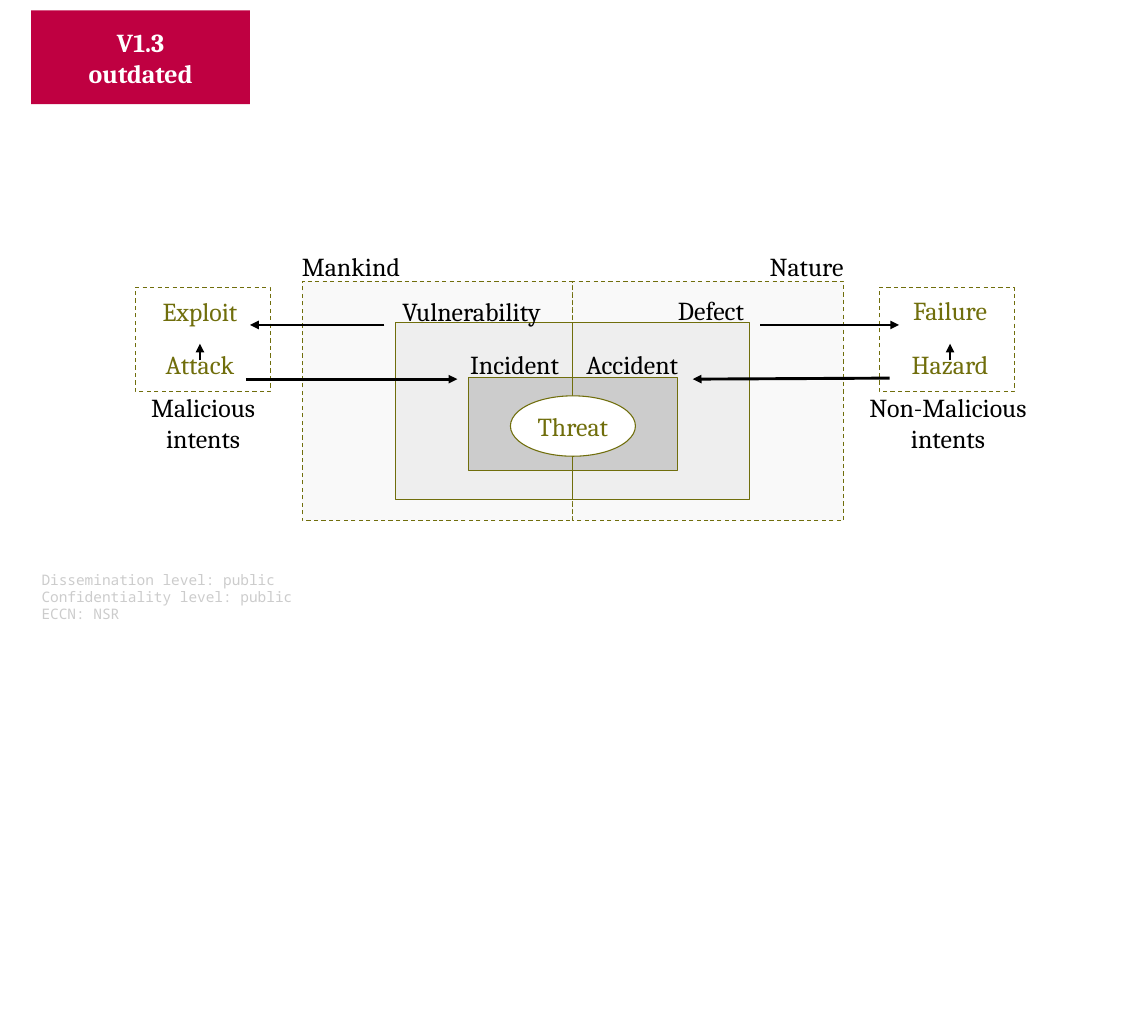
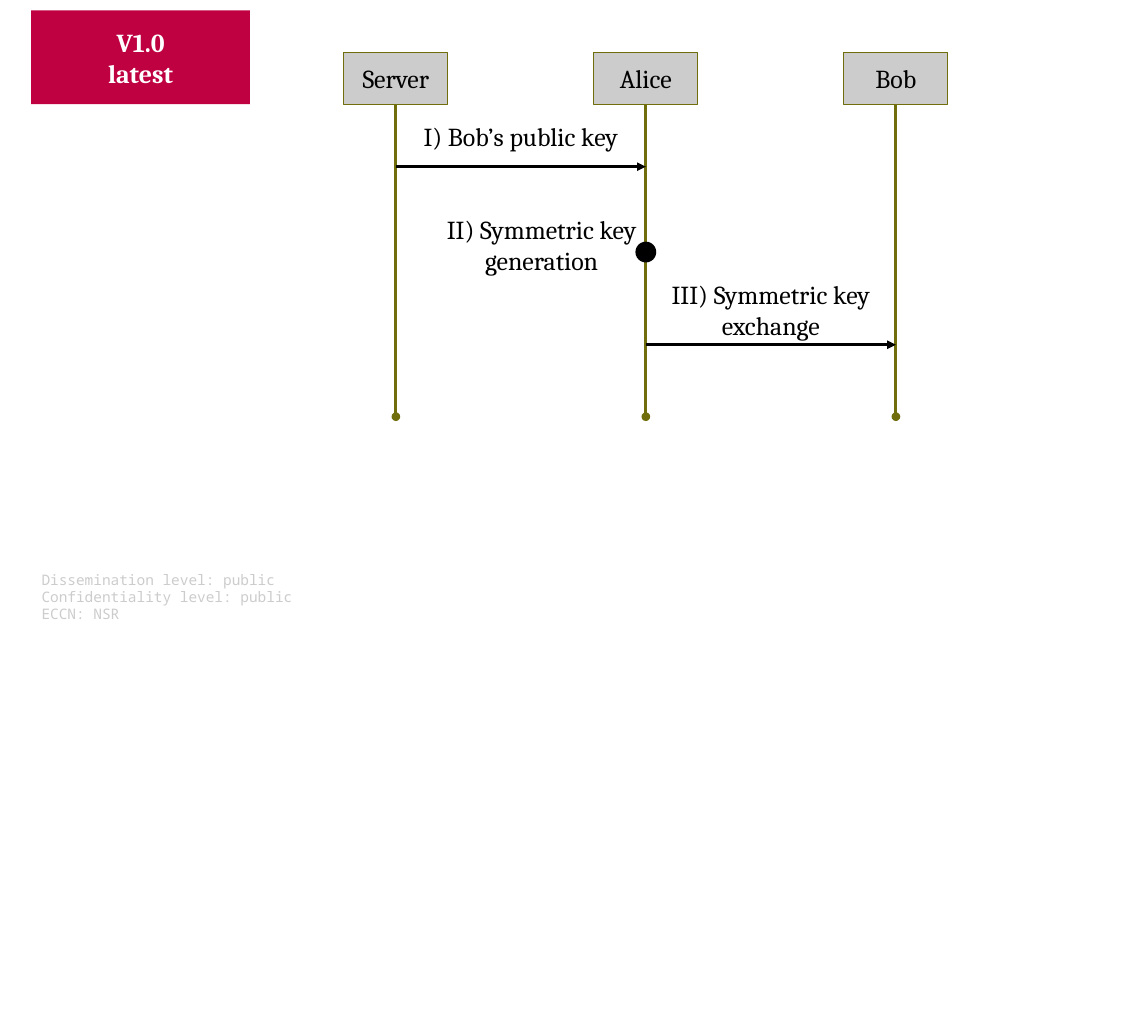
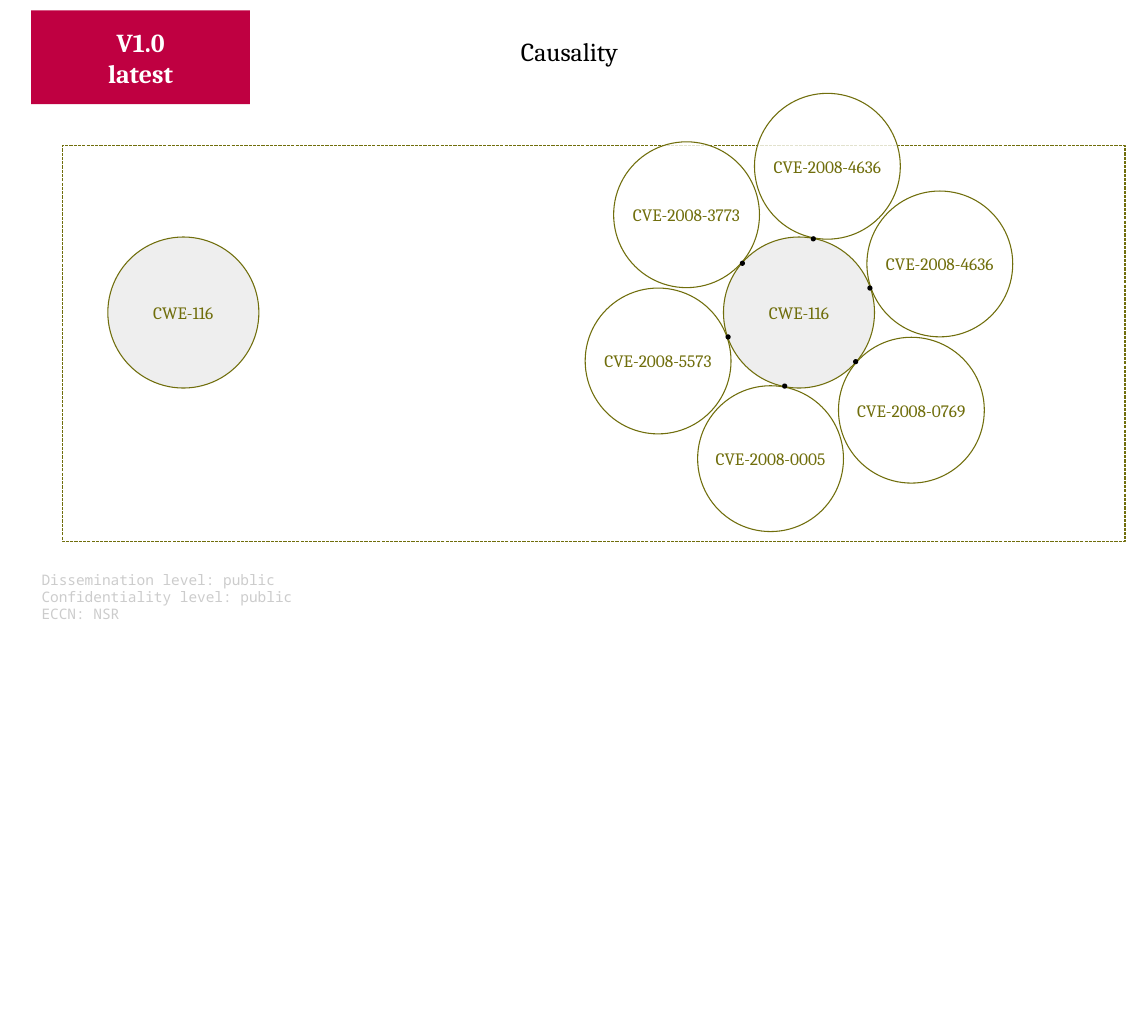
from math import cos, radians, sin

from lxml import etree
from pptx import Presentation
from pptx.dml.color import RGBColor
from pptx.enum.dml import MSO_LINE
from pptx.enum.shapes import MSO_CONNECTOR, MSO_SHAPE
from pptx.enum.text import MSO_ANCHOR, MSO_AUTO_SIZE, PP_ALIGN
from pptx.oxml.ns import qn
from pptx.util import Inches, Pt

# Shared style
RECT, OVAL = MSO_SHAPE.RECTANGLE, MSO_SHAPE.OVAL
STRAIGHT = MSO_CONNECTOR.STRAIGHT
DASH, FINE = MSO_LINE.DASH, MSO_LINE.SQUARE_DOT
LEFT, MID, RIGHT = PP_ALIGN.LEFT, PP_ALIGN.CENTER, PP_ALIGN.RIGHT
TOP, MIDDLE = MSO_ANCHOR.TOP, MSO_ANCHOR.MIDDLE
SERIF, MONO = "Cambria", "Noto Sans Mono"
OLIVE, RED, BLACK, WHITE = "706E0C", "BF0041", "000000", "FFFFFF"
PALE, LIGHT, GREY = "F9F9F9", "EEEEEE", "CCCCCC"
SIZE = 17.9
TITLE_ONLY, BLANK = 5, 6
FOOTER = "Dissemination level: public\nConfidentiality level: public\nECCN: NSR"


def rgb(code):
    return RGBColor.from_string(code)


def write(shape, text, color=BLACK, size=SIZE, align=MID, anchor=TOP,
          font=SERIF, bold=False, wrap=True):
    frame = shape.text_frame
    frame.text = text
    frame.word_wrap = wrap
    frame.auto_size = MSO_AUTO_SIZE.NONE
    frame.vertical_anchor = anchor
    for para in frame.paragraphs:
        para.alignment = align
        for run in para.runs:
            run.font.name = font
            run.font.size = Pt(size)
            run.font.bold = bold
            run.font.color.rgb = rgb(color)


def label(slide, at, text, **style):
    write(slide.shapes.add_textbox(*map(Inches, at)), text, **style)


def box(slide, at, fill=None, line=OLIVE, kind=RECT, dash=None, alpha=None):
    shape = slide.shapes.add_shape(kind, *map(Inches, at))
    shape.shadow.inherit = False
    if fill:
        shape.fill.solid()
        shape.fill.fore_color.rgb = rgb(fill)
    else:
        shape.fill.background()
    if alpha:
        tone = shape.fill._xPr.find(".//" + qn("a:srgbClr"))
        etree.SubElement(tone, qn("a:alpha"), val=str(alpha * 1000))
    if line:
        shape.line.color.rgb = rgb(line)
        shape.line.width = 0
        if dash:
            shape.line.dash_style = dash
    else:
        shape.line.fill.background()
    return shape


def disc(slide, x, y, width, fill, **style):
    """Circle centred on x, y."""
    at = (x - width / 2, y - width / 2, width, width)
    return box(slide, at, fill, kind=OVAL, **style)


def arrow(slide, start, end, color=BLACK, tip="triangle"):
    wire = slide.shapes.add_connector(STRAIGHT, *map(Inches, start + end))
    wire.line.color.rgb = rgb(color)
    wire.line.width = 0
    etree.SubElement(wire.line._get_or_add_ln(), qn("a:tailEnd"), type=tip)
    etree.SubElement(wire._element.spPr, qn("a:effectLst"))


def page(deck, status, layout=BLANK):
    """New slide with the version banner and the footer."""
    slide = deck.slides.add_slide(deck.slide_layouts[layout])
    return slide, status


def stamp(slide, status):
    banner = box(slide, (0.3, 0.1, 2.1, 0.9), RED, line=None)
    write(banner, status, WHITE, anchor=MIDDLE, bold=True, wrap=False)
    label(slide, (0.3, 5.43, 5.81, 0.58), FOOTER, color=GREY, size=10,
          align=LEFT, font=MONO)


def add_page(deck, status, layout=BLANK):
    slide = deck.slides.add_slide(deck.slide_layouts[layout])
    stamp(slide, status)
    return slide


def threats(deck):
    slide = add_page(deck, "V1.3\noutdated")

    # Nested panels, mirrored about the middle
    axis = 5.5
    for top, width, height, fill, dash in (
            (2.7, 2.6, 2.3, PALE, DASH),
            (3.1, 1.7, 1.7, LIGHT, None),
            (3.62, 1, 0.9, GREY, None)):
        for left in (axis - width, axis):
            box(slide, (left, top, width, height), fill, dash=dash)
    threat = box(slide, (4.9, 3.8, 1.2, 0.58), WHITE, kind=OVAL)
    write(threat, "Threat", OLIVE, anchor=MIDDLE, wrap=False)

    # Intent frames
    for left in (1.3, 8.44):
        box(slide, (left, 2.76, 1.3, 1), dash=DASH)

    # Labels
    for left, top, width, text, color, align in (
            (2.8, 2.36, 1.2, "Mankind", BLACK, LEFT),
            (7.29, 2.36, 1, "Nature", BLACK, LEFT),
            (3.69, 2.79, 1.6, "Vulnerability", BLACK, RIGHT),
            (6.41, 2.78, 0.89, "Defect", BLACK, LEFT),
            (4.39, 3.3, 1.1, "Incident", BLACK, MID),
            (5.49, 3.3, 1.16, "Accident", BLACK, MID),
            (1.44, 2.79, 0.96, "Exploit", OLIVE, MID),
            (1.48, 3.3, 0.88, "Attack", OLIVE, MID),
            (8.63, 2.78, 0.98, "Failure", OLIVE, MID),
            (8.54, 3.3, 1.16, "Hazard", OLIVE, MID),
            (1.2, 3.71, 1.5, "Malicious intents", BLACK, MID),
            (8.2, 3.71, 1.8, "Non-Malicious intents", BLACK, MID)):
        label(slide, (left, top, width, 0.68), text, color=color, align=align)

    # Causes and effects
    for start, end in (
            ((3.69, 3.12), (2.4, 3.12)),
            ((2.36, 3.64), (4.39, 3.64)),
            ((1.92, 3.46), (1.92, 3.3)),
            ((7.3, 3.12), (8.63, 3.12)),
            ((8.54, 3.63), (6.65, 3.64)),
            ((9.12, 3.46), (9.12, 3.3))):
        arrow(slide, start, end)


def keys(deck):
    slide = add_page(deck, "V1.0\nlatest")

    # Actors and their lifelines
    first, step = 3.8, 2.4
    lanes = [first + step * i for i in range(3)]
    for x, name in zip(lanes, ("Server", "Alice", "Bob")):
        actor = box(slide, (x - 0.5, 0.5, 1, 0.5), GREY)
        write(actor, name, anchor=MIDDLE, wrap=False)
        arrow(slide, (x, 1), (x, 4), OLIVE, "oval")

    # Messages
    server, alice, bob = lanes
    arrow(slide, (server, 1.6), (alice, 1.6))
    arrow(slide, (alice, 3.31), (bob, 3.31))
    disc(slide, alice, 2.42, 0.2, BLACK, line=None)
    for left, top, text in (
            (3.9, 1.11, "I) Bob’s public key"),
            (4.1, 2, "II) Symmetric key generation"),
            (6.3, 2.63, "III) Symmetric key exchange")):
        label(slide, (left, top, 2.2, 0.95), text)


def causes(deck):
    slide = add_page(deck, "V1.0\nlatest", TITLE_ONLY)
    title = slide.shapes.title
    title.left, title.top, title.width, title.height = map(
        Inches, (4.9, 0.29, 1.2, 0.68))
    write(title, "Causality", align=LEFT)
    box(slide, (0.6, 1.4, 10.2, 3.8), WHITE, dash=FINE)

    # Weaknesses
    hub_x, hub_y = 7.67, 3
    for x in (1.76, hub_x):
        weak = disc(slide, x, hub_y, 1.45, LIGHT)
        write(weak, "CWE-116", OLIVE, 12, anchor=MIDDLE, wrap=False)

    # Ring of vulnerabilities, clockwise from the lower right
    names = ("0769", "0005", "5573", "3773", "4636", "4636")
    turns = [radians(41 + 60 * i) for i in range(len(names))]
    for turn, name in zip(turns, names):
        flaw = disc(slide, hub_x + 1.43 * cos(turn), hub_y + 1.43 * sin(turn),
                    1.4, WHITE, alpha=80)
        write(flaw, "CVE-2008-" + name, OLIVE, 12, anchor=MIDDLE, wrap=False)
    for turn in turns:
        disc(slide, hub_x + 0.72 * cos(turn), hub_y + 0.72 * sin(turn),
             0.05, BLACK, line=None)


def main():
    deck = Presentation()
    deck.slide_width, deck.slide_height = Inches(11.02), Inches(9.84)
    threats(deck)
    keys(deck)
    causes(deck)
    deck.save("out.pptx")


if __name__ == "__main__":
    main()
